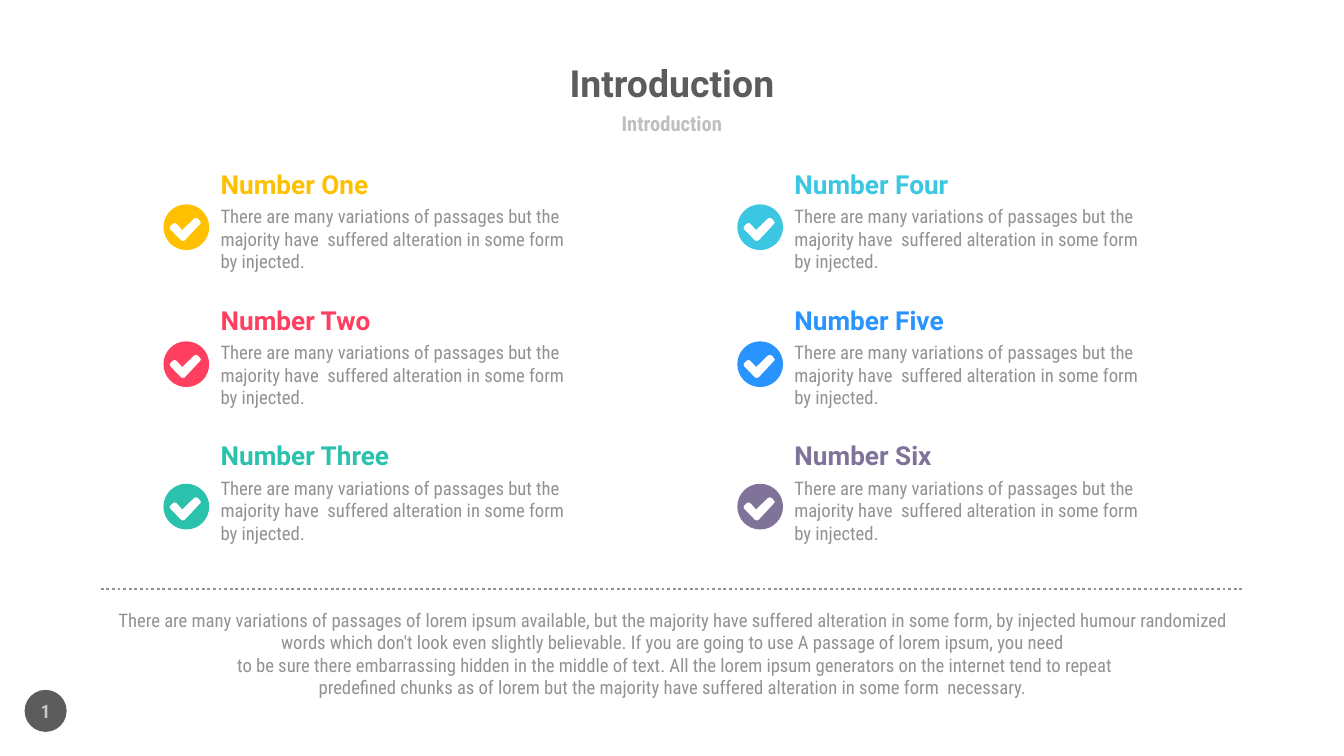
from lxml import etree
from pptx import Presentation
from pptx.dml.color import RGBColor
from pptx.enum import dml, shapes, text
from pptx.oxml import ns
from pptx.util import Pt

WHITE = RGBColor(0xFF, 0xFF, 0xFF)
CHARCOAL = RGBColor(0x5C, 0x5C, 0x5C)
GRAY = RGBColor(0x92, 0x92, 0x92)
SILVER = RGBColor(0xBF, 0xBF, 0xBF)
PALE = RGBColor(0xC9, 0xC9, 0xC9)
YELLOW = RGBColor(0xFF, 0xC0, 0x00)
RED = RGBColor(0xFF, 0x3F, 0x5F)
TEAL = RGBColor(0x2A, 0xC2, 0xAC)
CYAN = RGBColor(0x3B, 0xC7, 0xE2)
BLUE = RGBColor(0x29, 0x93, 0xFF)
PURPLE = RGBColor(0x7F, 0x73, 0x9A)

HEAD_FONT = "Roboto"
BODY_FONT = "Roboto Condensed"

# Left edge, text width, and items with their name width and colour
COLUMNS = [
    (87.6, 205, [("Number One", 85, YELLOW), ("Number Two", 84.5, RED),
                 ("Number Three", 96, TEAL)]),
    (395, 207.5, [("Number Four", 88.5, CYAN), ("Number Five", 85.5, BLUE),
                  ("Number Six", 78.5, PURPLE)]),
]
ROWS_TOP = 90.1
ROW_PITCH = 72.75
BADGE_DROPS = [19.4, 20.05, 23.6]

ITEM_LINES = [
    "There are many variations of passages but the majority have  suffered "
    "alteration in some form",
    "by injected.",
]
SUMMARY_LINES = [
    "There are many variations of passages of lorem ipsum available, but the "
    "majority have suffered alteration in some form, by injected humour randomized "
    "words which don't look even slightly believable. If you are going to use A "
    "passage of lorem ipsum, you need",
    " to be sure there embarrassing hidden in the middle of text. All the lorem "
    "ipsum generators on the internet tend to repeat",
    "predefined chunks as of lorem but the majority have suffered alteration in "
    "some form  necessary.",
]

# Outline of a badge 340 units wide: quarter points of the disc, then the tick
BADGE_UNITS = 340
QUARTERS = [(340, 170), (170, 340), (0, 170), (170, 0), (340, 170)]
ARC_PULL = 0.55
TICK = [
    (270, 120), (258, 106), (240, 100), (226, 106), (140, 190), (98, 144),
    (82, 138), (70, 144), (50, 162), (46, 174), (52, 188), (130, 268),
    (144, 274), (160, 268), (272, 148), (280, 136),
]


def write(shape, lines, size, color, font=BODY_FONT, bold=False,
          align=text.PP_ALIGN.LEFT, anchor=text.MSO_ANCHOR.TOP,
          wrap=True, grow=False):
    frame = shape.text_frame
    frame.margin_left = frame.margin_right = Pt(0)
    frame.margin_top = frame.margin_bottom = Pt(0)
    frame.auto_size = (text.MSO_AUTO_SIZE.SHAPE_TO_FIT_TEXT if grow
                       else text.MSO_AUTO_SIZE.NONE)
    frame.word_wrap = wrap
    frame.vertical_anchor = anchor
    paragraph = frame.paragraphs[0]
    paragraph.alignment = align
    for index, line in enumerate(lines):
        if index:
            paragraph.add_line_break()
        run = paragraph.add_run()
        run.text = line
        run.font.name = font
        run.font.size = Pt(size)
        run.font.bold = bold
        run.font.color.rgb = color


def add_text(slide, left, top, width, height, lines, size, color, **style):
    box = slide.shapes.add_textbox(Pt(left), Pt(top), Pt(width), Pt(height))
    write(box, lines, size, color, **style)


def fill_plain(shape, color):
    shape.shadow.inherit = False
    shape.fill.solid()
    shape.fill.fore_color.rgb = color
    shape.line.fill.background()


def add_heading(slide, left, top, width):
    centred = dict(bold=True, align=text.PP_ALIGN.CENTER,
                   anchor=text.MSO_ANCHOR.MIDDLE, wrap=False)
    title = slide.shapes.title
    title.left, title.top = Pt(left), Pt(top)
    title.width, title.height = Pt(width), Pt(28)
    write(title, ["Introduction"], 20, CHARCOAL, font=HEAD_FONT, **centred)
    add_text(slide, left + 60, top + 27.9, width - 120, 16,
             ["Introduction"], 11, SILVER, **centred)


def round_disc(badge):
    """Turn the four straight sides of the disc into quarter arcs."""
    sides = list(badge._element.iter(ns.qn("a:lnTo")))[:4]
    centre = BADGE_UNITS / 2
    for side, start, end in zip(sides, QUARTERS, QUARTERS[1:]):
        corner = [a + b - centre for a, b in zip(start, end)]
        pulls = [[a + (c - a) * ARC_PULL for a, c in zip(point, corner)]
                 for point in (start, end)]
        arc = etree.Element(ns.qn("a:cubicBezTo"))
        for x, y in (*pulls, end):
            etree.SubElement(arc, ns.qn("a:pt"), x=str(round(x)), y=str(round(y)))
        side.getparent().replace(side, arc)


def add_tick_badge(slide, left, top, size, color):
    """Draw a disc with the tick cut out of it."""
    outline = slide.shapes.build_freeform(*QUARTERS[0], scale=Pt(size) / BADGE_UNITS)
    outline.add_line_segments(QUARTERS[1:], close=True)
    outline.move_to(*TICK[0])
    outline.add_line_segments(TICK[1:], close=True)
    badge = outline.convert_to_shape(Pt(left), Pt(top))
    round_disc(badge)
    fill_plain(badge, color)


def add_item(slide, left, top, text_width, badge_drop, name, name_width, color):
    text_left = left + 30.6
    add_text(slide, text_left, top, name_width, 17, [name], 14, color,
             font=HEAD_FONT, bold=True, grow=True)
    add_text(slide, text_left, top + 19.9, text_width, 36, ITEM_LINES, 10, GRAY,
             grow=True)
    add_tick_badge(slide, left, top + badge_drop, 24.5, color)


def add_summary(slide, left, top, width):
    rule = slide.shapes.add_connector(
        shapes.MSO_CONNECTOR.STRAIGHT, Pt(left), Pt(top), Pt(left + width), Pt(top))
    rule.line.color.rgb = GRAY
    rule.line.width = Pt(1.5)
    rule.line.dash_style = dml.MSO_LINE.ROUND_DOT
    etree.SubElement(rule._element.spPr, ns.qn("a:effectLst"))
    add_text(slide, left + 0.4, top + 10.5, width - 0.7, 48, SUMMARY_LINES, 10, GRAY,
             align=text.PP_ALIGN.CENTER, grow=True)


def add_page_number(slide, left, top, size):
    disc = slide.shapes.add_shape(
        shapes.MSO_SHAPE.OVAL, Pt(left), Pt(top), Pt(size), Pt(size))
    fill_plain(disc, CHARCOAL)
    add_text(slide, left - 6.75, top + 0.5, size + 13.5, 21.5, ["1"], 10, PALE,
             bold=True, align=text.PP_ALIGN.CENTER, anchor=text.MSO_ANCHOR.MIDDLE)


def main():
    deck = Presentation()
    deck.slide_width, deck.slide_height = Pt(720), Pt(405)
    slide = deck.slides.add_slide(deck.slide_layouts.get_by_name("Title Only"))
    slide.background.fill.solid()
    slide.background.fill.fore_color.rgb = WHITE

    add_page_number(slide, 13.2, 369.6, 22.5)
    add_heading(slide, 138, 30.2, 444)
    for left, text_width, items in COLUMNS:
        for row, (name, name_width, color) in enumerate(items):
            add_item(slide, left, ROWS_TOP + row * ROW_PITCH, text_width,
                     BADGE_DROPS[row], name, name_width, color)
    add_summary(slide, 54, 315.5, 612)
    deck.save("out.pptx")


if __name__ == "__main__":
    main()
